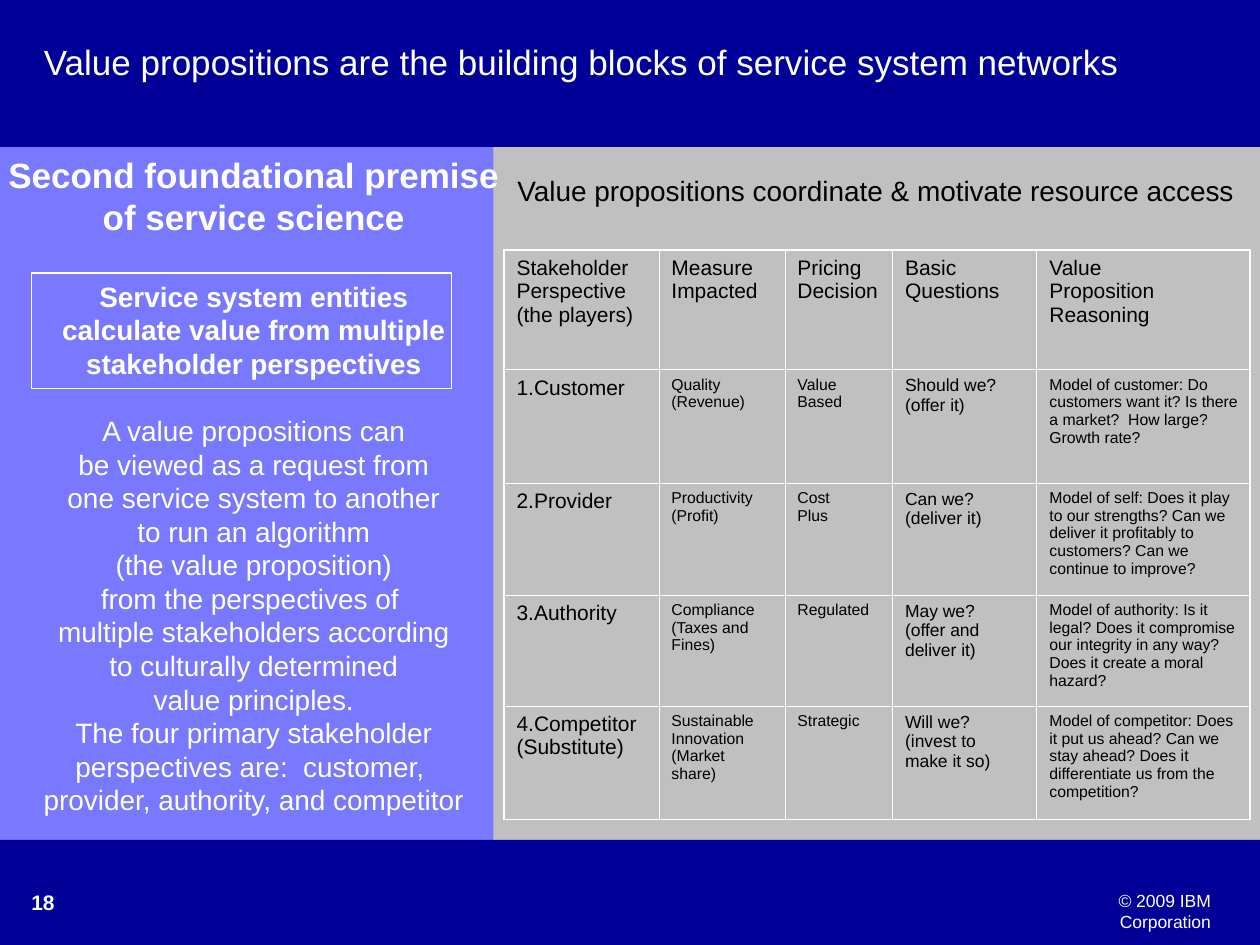
from dataclasses import dataclass

from lxml.etree import SubElement
from pptx import Presentation
from pptx.dml.color import RGBColor
from pptx.enum.shapes import MSO_SHAPE
from pptx.enum.text import PP_ALIGN
from pptx.oxml.ns import qn
from pptx.slide import Slide
from pptx.text.text import _Paragraph
from pptx.util import Pt


@dataclass(frozen=True)
class Theme:
    font: str = "Arial"
    navy: str = "000099"
    violet: str = "7979FF"
    gray: str = "C0C0C0"
    white: str = "FFFFFF"
    black: str = "000000"
    title: float = 20
    body: float = 16
    head: float = 12
    note: float = 10
    cell: float = 9
    edge: float = 1.08
    inner: float = 0.45


@dataclass(frozen=True)
class Box:
    left: float
    top: float
    width: float
    height: float

    def pts(self) -> tuple:
        return Pt(self.left), Pt(self.top), Pt(self.width), Pt(self.height)


@dataclass(frozen=True)
class Block:
    text: str
    size: float
    bold: bool = False
    gap: float = 0


@dataclass(frozen=True)
class Label:
    box: Box
    blocks: tuple
    color: str
    align: PP_ALIGN = PP_ALIGN.LEFT
    wrap: bool = True
    pitch: float = 1.0


T = Theme()

BANDS = (
    (Box(0, 30, 282, 486), T.violet),
    (Box(0, 0, 720, 84), T.navy),
    (Box(0, 480, 720, 60), T.navy),
)
FRAME = Box(18, 156, 240, 66)

PREMISE = (
    Block("Second foundational premise \nof service science", T.title, True),
    Block("Service system entities\ncalculate value from multiple\n"
          "stakeholder perspectives", T.body, True, 24),
    Block("A value propositions can\nbe viewed as a request from\n"
          "one service system to another\nto run an algorithm\n"
          "(the value proposition)\nfrom the perspectives of \n"
          "multiple stakeholders according\nto culturally determined\n"
          "value principles.\nThe four primary stakeholder\n"
          "perspectives are:  customer, \n"
          "provider, authority, and competitor", T.body, False, 19.2),
)
LABELS = (
    Label(Box(577.5, 505, 121.5, 19), (Block("© 2009 IBM Corporation", T.note),),
          T.white, PP_ALIGN.RIGHT),
    Label(Box(10.8, 505, 79, 25), (Block("18", T.head, True),), T.white),
    Label(Box(18, 22.5, 702, 42.5),
          (Block("Value propositions are the building blocks of "
                 "service system networks", T.title),), T.white, pitch=0.9),
    Label(Box(-5, 84, 300, 405), PREMISE, T.white, PP_ALIGN.CENTER, False),
    Label(Box(288.5, 95.8, 425, 26.5),
          (Block("Value propositions coordinate & motivate resource access",
                 T.body),), T.black, wrap=False),
)

# Table: sizes by column, header row in one size
GRID = Box(288, 142.75, 426.5, 325.5)
COLS = (88.5, 72, 61.5, 82.5, 122)
ROWS = (68.5, 64.75, 64, 63.5, 64.75)
SIZES = (T.head, T.cell, T.cell, T.note, T.cell)
CELLS = (
    ("Stakeholder\nPerspective\n(the players)", "Measure\nImpacted",
     "Pricing\nDecision", "Basic\nQuestions", "Value\nProposition\nReasoning"),
    ("1.Customer", "Quality\n(Revenue)", "Value\nBased", "Should we?\n(offer it)",
     "Model of customer: Do customers want it? Is there a market?  "
     "How large? Growth rate?"),
    ("2.Provider", "Productivity\n(Profit)", "Cost\nPlus", "Can we?\n(deliver it)",
     "Model of self: Does it play to our strengths? Can we deliver it "
     "profitably to customers? Can we continue to improve?"),
    ("3.Authority", "Compliance\n(Taxes and\nFines)", "Regulated",
     "May we?\n(offer and\ndeliver it)",
     "Model of authority: Is it legal? Does it compromise our integrity "
     "in any way? Does it create a moral hazard?"),
    ("4.Competitor\n(Substitute)", "Sustainable Innovation\n(Market\nshare)",
     "Strategic", "Will we?\n(invest to\nmake it so)",
     "Model of competitor: Does it put us ahead? Can we stay ahead? "
     "Does it differentiate us from the competition?"),
)


def style(par: _Paragraph, size: float, color: str, bold: bool = False) -> None:
    for run in par.runs:
        run.font.name = T.font
        run.font.size = Pt(size)
        run.font.bold = bold
        run.font.color.rgb = RGBColor.from_string(color)


def add_rect(slide: Slide, box: Box, fill: str = "", line: str = "") -> None:
    shape = slide.shapes.add_shape(MSO_SHAPE.RECTANGLE, *box.pts())
    shape.shadow.inherit = False
    for part, color in ((shape.fill, fill), (shape.line.fill, line)):
        if color:
            part.solid()
            part.fore_color.rgb = RGBColor.from_string(color)
        else:
            part.background()
    if line:
        shape.line.width = Pt(0.75)


def add_label(slide: Slide, label: Label) -> None:
    frame = slide.shapes.add_textbox(*label.box.pts()).text_frame
    frame.word_wrap = label.wrap
    frame.text = "\n".join(block.text for block in label.blocks)
    pars = iter(frame.paragraphs)
    for block in label.blocks:
        for num, _ in enumerate(block.text.split("\n")):
            par = next(pars)
            par.alignment = label.align
            par.line_spacing = label.pitch
            if num == 0 and block.gap:
                par.space_before = Pt(block.gap)
            style(par, block.size, label.color, block.bold)


def add_line(cell, side: str, width: float) -> None:
    props = cell._tc.get_or_add_tcPr()
    line = SubElement(props, qn(f"a:ln{side}"), w=str(int(Pt(width))))
    fill = SubElement(line, qn("a:solidFill"))
    SubElement(fill, qn("a:srgbClr"), val=T.white)


def add_grid(slide: Slide) -> None:
    rows, cols = len(ROWS), len(COLS)
    table = slide.shapes.add_table(rows, cols, *GRID.pts()).table
    table.first_row = table.horz_banding = False
    for col, width in zip(table.columns, COLS):
        col.width = Pt(width)
    for row, height in zip(table.rows, ROWS):
        row.height = Pt(height)
    for r, texts in enumerate(CELLS):
        for c, text in enumerate(texts):
            cell = table.cell(r, c)
            edges = {"L": c == 0, "R": c == cols - 1,
                     "T": r == 0, "B": r == rows - 1}
            for side, outer in edges.items():
                add_line(cell, side, T.edge if outer else T.inner)
            cell.fill.background()
            cell.text_frame.text = text
            for par in cell.text_frame.paragraphs:
                style(par, SIZES[c] if r else T.head, T.black)


def main() -> None:
    deck = Presentation()
    deck.slide_width, deck.slide_height = Pt(720), Pt(540)
    slide = deck.slides.add_slide(deck.slide_layouts[6])
    slide.background.fill.solid()
    slide.background.fill.fore_color.rgb = RGBColor.from_string(T.gray)

    # Background bands and premise frame
    for box, color in BANDS:
        add_rect(slide, box, fill=color)
    add_rect(slide, FRAME, line=T.white)

    # Texts and stakeholder table
    for label in LABELS:
        add_label(slide, label)
    add_grid(slide)
    deck.save("out.pptx")


if __name__ == "__main__":
    main()
